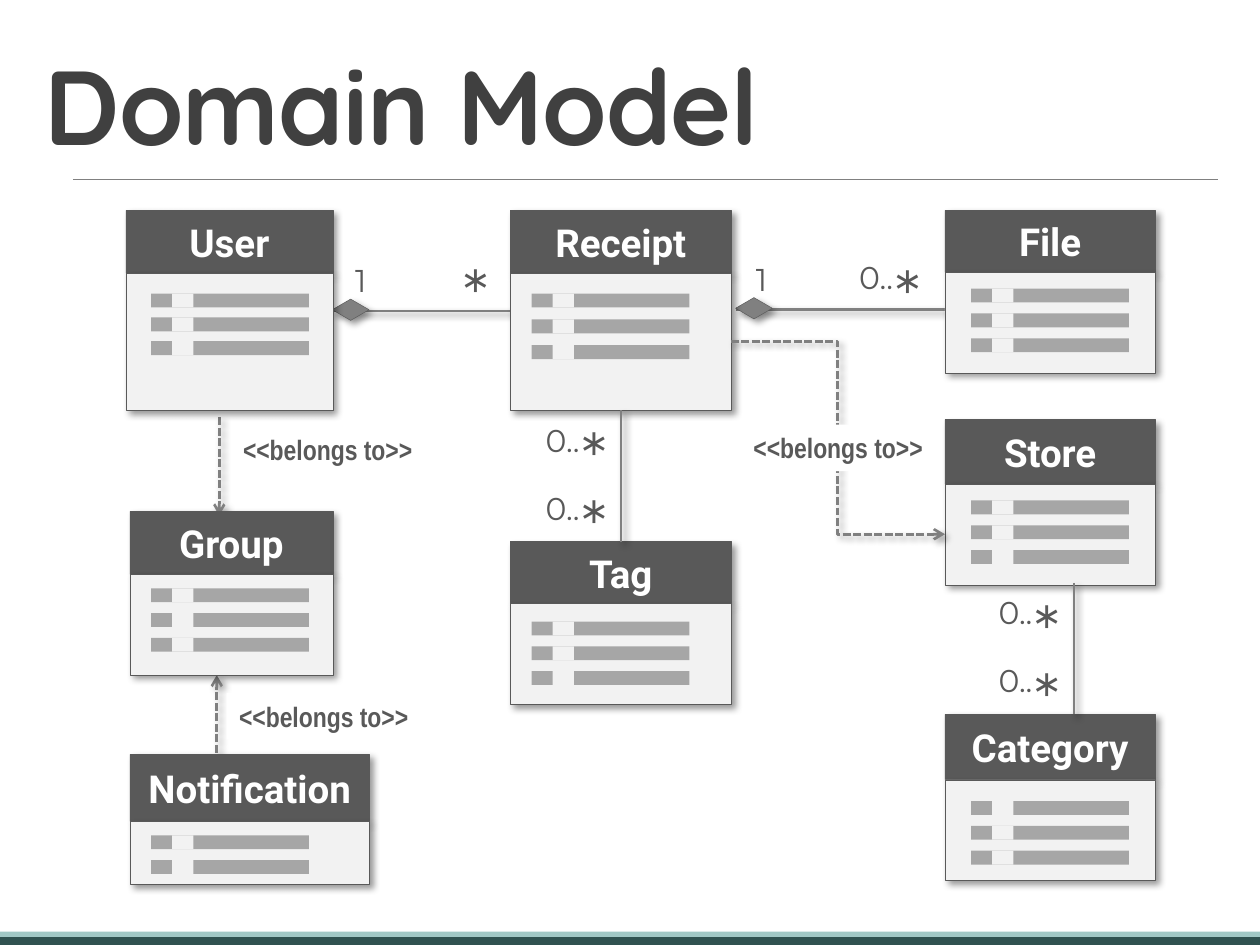
from pptx import Presentation
from pptx.dml.color import RGBColor
from pptx.enum.dml import MSO_LINE
from pptx.enum.shapes import MSO_CONNECTOR, MSO_SHAPE
from pptx.enum.text import MSO_ANCHOR, MSO_AUTO_SIZE, PP_ALIGN
from pptx.oxml import parse_xml
from pptx.oxml.ns import nsdecls
from pptx.util import Cm, Pt

DARK, MID, PALE, BAR = "595959", "808080", "F2F2F2", "A6A6A6"
SHADOW = (
    '<a:outerShdw blurRad="50800" dist="38100" dir="2700000" algn="tl" rotWithShape="0">'
    '<a:srgbClr val="000000"><a:alpha val="40000"/></a:srgbClr></a:outerShdw>'
)
TITLE = {"name": "Quicksand", "size": Pt(60), "bold": True}
HEADING = {"name": "Roboto", "size": Pt(22), "bold": True}
STEREOTYPE = {"name": "Arial Narrow", "size": Pt(16), "bold": True}
NUMBER = {"name": "Montserrat", "size": Pt(18)}
STAR = {"name": "Montserrat", "size": Pt(36)}


def rgb(color):
    return RGBColor.from_string(color)


def set_effect(shape, shadow):
    effect = SHADOW if shadow else ""
    shape._element.spPr.append(
        parse_xml(f'<a:effectLst {nsdecls("a")}>{effect}</a:effectLst>'))


def add_text(tf, text, fmt, color, align=PP_ALIGN.LEFT):
    p = tf.paragraphs[0]
    p.alignment = align
    r = p.add_run()
    r.text = text
    for key, value in fmt.items():
        setattr(r.font, key, value)
    r.font.color.rgb = rgb(color)
    return p, r


def add_box(s, x, y, w, h, fill, line=None, kind=MSO_SHAPE.RECTANGLE):
    sp = s.shapes.add_shape(kind, Cm(x), Cm(y), Cm(w), Cm(h))
    sp.fill.solid()
    sp.fill.fore_color.rgb = rgb(fill)
    if line:
        sp.line.color.rgb = rgb(line)
        sp.line.width = Pt(0.25)
    else:
        sp.line.fill.background()
    set_effect(sp, line)
    return sp


def add_line(s, x1, y1, x2, y2, kind=MSO_CONNECTOR.STRAIGHT, width=1.5,
             dependency=False, shadow=True):
    c = s.shapes.add_connector(kind, Cm(x1), Cm(y1), Cm(x2), Cm(y2))
    c.line.color.rgb = rgb(MID)
    c.line.width = Pt(width)
    if dependency:
        c.line.dash_style = MSO_LINE.SQUARE_DOT
        c.line._ln.append(parse_xml(f'<a:tailEnd {nsdecls("a")} type="arrow"/>'))
    set_effect(c, shadow)


def add_frame(s):
    add_box(s, 0, 18.87, 25.4, 0.18, "305250")
    add_box(s, 0, 18.78, 25.4, 0.11, "A1C8C5")
    add_line(s, 1.47, 3.61, 24.56, 3.61, width=0.5, shadow=False)


def add_title(s, x, y, w, h, text):
    tf = s.shapes.add_textbox(Cm(x), Cm(y), Cm(w), Cm(h)).text_frame
    tf.word_wrap = True
    tf.vertical_anchor = MSO_ANCHOR.BOTTOM
    p, r = add_text(tf, text, TITLE, "404040")
    p.line_spacing = 0.85
    r.font._element.set("spc", "-50")


def add_entity(s, name, x, y, w, head, body, dx, dy, pitch=0.5, rows=3):
    tf = add_box(s, x, y, w, head, DARK, DARK).text_frame
    tf.vertical_anchor = MSO_ANCHOR.MIDDLE
    tf.word_wrap = True
    add_text(tf, name, HEADING, "FFFFFF", PP_ALIGN.CENTER)
    add_box(s, x, y + head, w, body, PALE, DARK)
    for i in range(rows):
        top = y + head + dy + i * pitch
        add_box(s, x + dx, top, 3.18, 0.28, BAR)
        add_box(s, x + dx + 0.42, top, 0.43, 0.28, PALE)


def add_composition(s, x, y, length):
    add_line(s, x, y, x + length, y)
    add_box(s, x, y - 0.24, 0.74, 0.43, MID, DARK, MSO_SHAPE.DIAMOND)


def add_label(s, x, y, w, h, text, fmt):
    tf = s.shapes.add_textbox(Cm(x), Cm(y), Cm(w), Cm(h)).text_frame
    tf.word_wrap = True
    tf.auto_size = MSO_AUTO_SIZE.SHAPE_TO_FIT_TEXT
    add_text(tf, text, fmt, DARK)


def add_star(s, x, y):
    add_label(s, x, y, 0.84, 1.8, "*", STAR)


def add_one(s, x, y):
    add_label(s, x, y, 0.84, 1.02, "1", NUMBER)


def add_zero_to_many(s, x, y):
    add_star(s, x + 0.73, y)
    add_label(s, x, y + 0.08, 1.57, 1.02, "0..", NUMBER)


def add_stereotype(s, x, y):
    tf = add_box(s, x, y, 3.96, 0.94, "FFFFFF").text_frame
    tf.word_wrap = False
    tf.auto_size = MSO_AUTO_SIZE.SHAPE_TO_FIT_TEXT
    tf.vertical_anchor = MSO_ANCHOR.TOP
    add_text(tf, "<<belongs to>>", STEREOTYPE, DARK)


def add_many_to_many(s, x, y, length):
    add_line(s, x, y, x, y + length)
    for top in (y + 0.01, y + 1.38):
        add_zero_to_many(s, x - 1.77, top)


def main():
    prs = Presentation()
    prs.slide_width, prs.slide_height = Cm(25.4), Cm(19.05)
    s = prs.slides.add_slide(prs.slide_layouts[6])

    add_frame(s)
    add_title(s, 0.64, 0.43, 23.06, 3.07, "Domain Model")
    add_composition(s, 14.83, 6.24, 4.5)
    add_composition(s, 6.7, 6.27, 3.8)
    add_line(s, 4.37, 15.6, 4.37, 13.61, dependency=True)
    add_line(s, 4.42, 8.41, 4.42, 10.39, dependency=True)

    left, center, right = 2.62, 10.29, 19.05
    for entity in (
        ("User", 2.54, 4.24, 4.17, 1.27, 2.77, 0.51, 0.41, 0.48),
        ("Receipt", center, 4.24, 4.45, 1.27, 2.77, 0.43, 0.41, 0.52),
        ("File", right, 4.24, 4.24, 1.25, 2.03, 0.53, 0.33),
        ("Store", right, 8.46, 4.24, 1.3, 2.03, 0.53, 0.33),
        ("Category", right, 14.4, 4.24, 1.32, 2.03, 0.53, 0.43),
        ("Tag", center, 10.92, 4.45, 1.25, 2.03, 0.43, 0.36),
        ("Group", left, 10.31, 4.09, 1.27, 2.03, 0.43, 0.28),
        ("Notification", left, 15.21, 4.83, 1.35, 1.27, 0.43, 0.28, 0.5, 2),
    ):
        add_entity(s, *entity)

    add_one(s, 6.91, 5.13)
    add_star(s, 9.09, 4.98)
    add_one(s, 14.99, 5.11)
    add_zero_to_many(s, 17.07, 5)
    add_line(s, 14.73, 6.88, 19.05, 10.77, MSO_CONNECTOR.ELBOW, dependency=True)
    add_many_to_many(s, 12.52, 8.27, 2.65)
    add_many_to_many(s, 21.65, 11.75, 2.65)
    for x, y in ((14.94, 8.56), (4.57, 13.97), (4.65, 8.59)):
        add_stereotype(s, x, y)

    prs.save("out.pptx")


if __name__ == "__main__":
    main()
